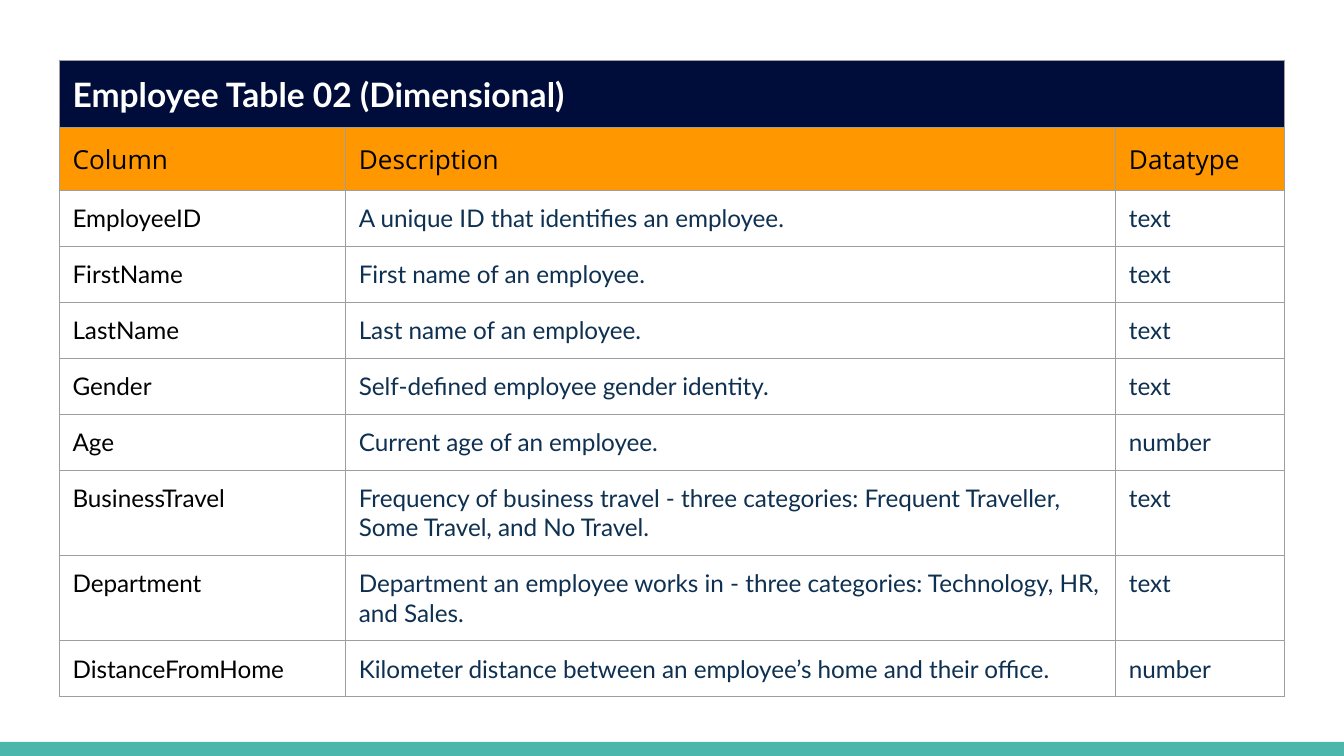
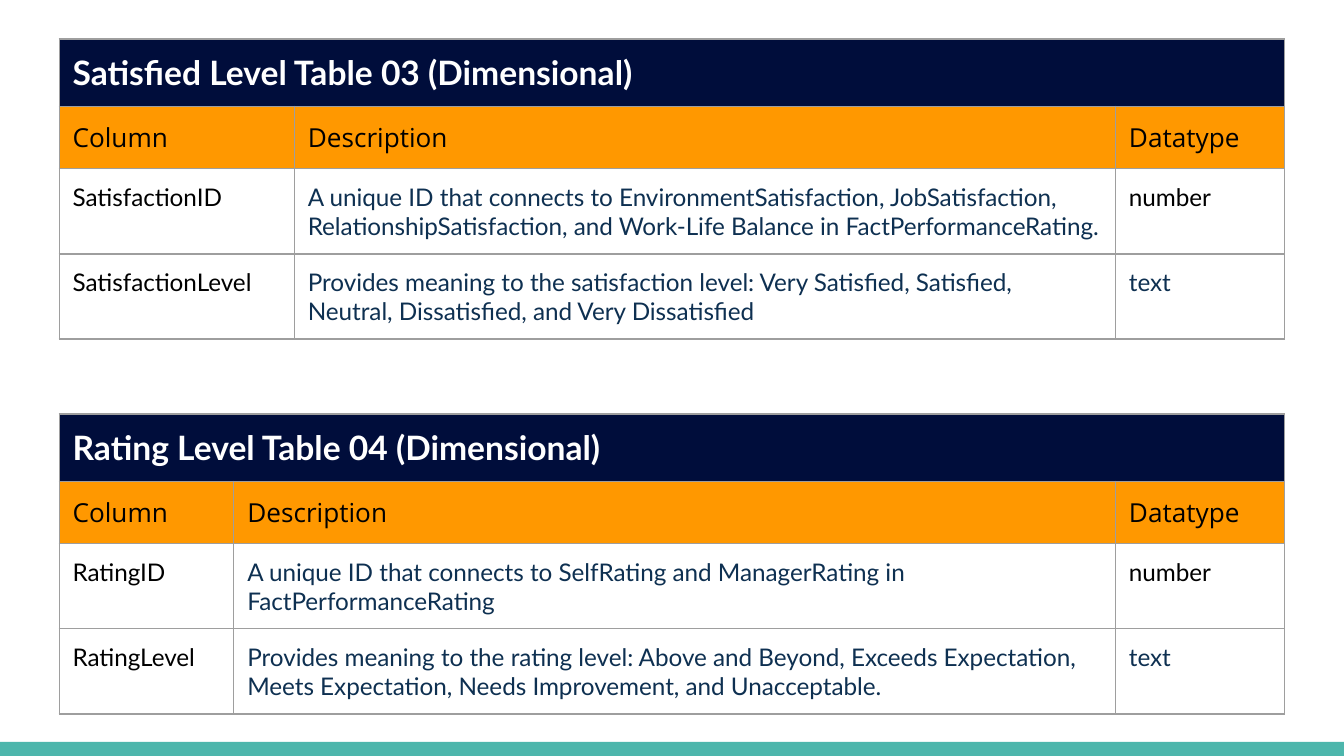
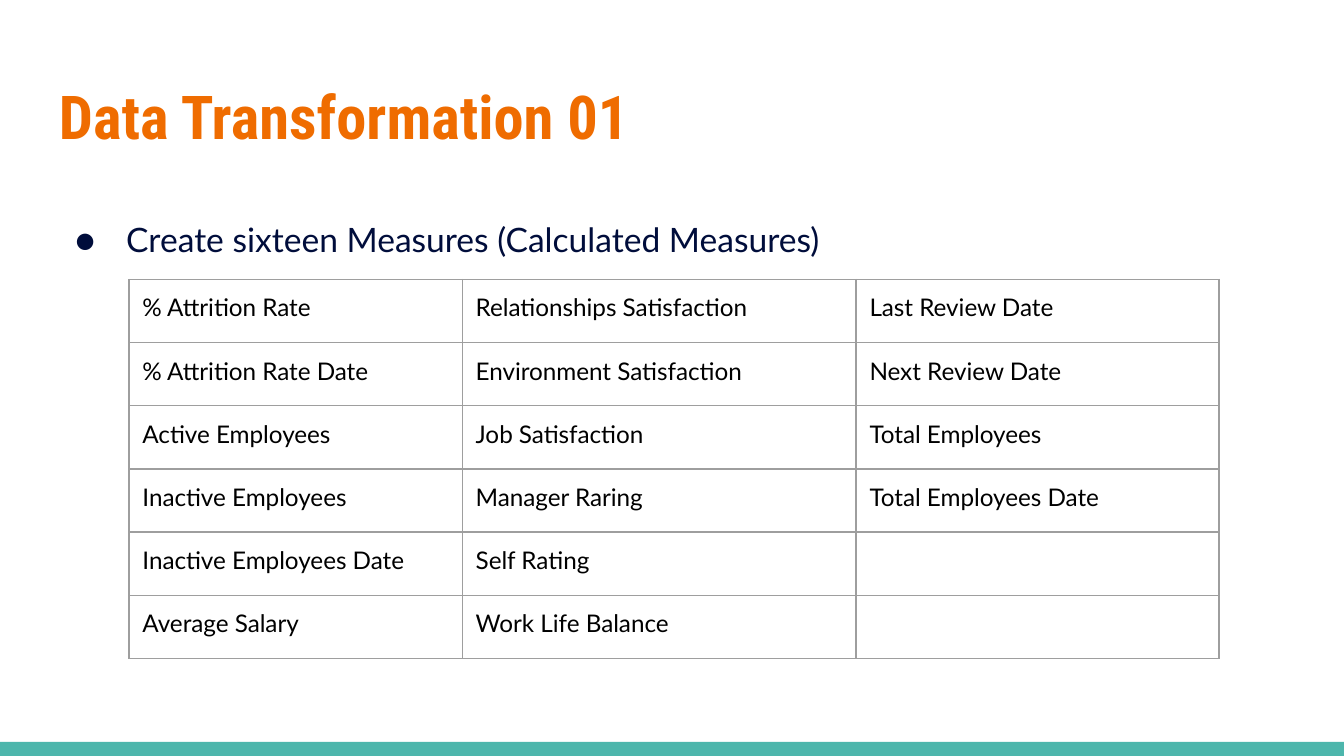
"""Builds three slides of data dictionary tables and calculated measures."""
from lxml import etree
from pptx import Presentation
from pptx.dml.color import RGBColor
from pptx.enum.shapes import MSO_SHAPE
from pptx.enum.text import MSO_ANCHOR
from pptx.oxml import parse_xml
from pptx.oxml.ns import nsdecls, qn
from pptx.util import Inches, Pt

RECTANGLE = MSO_SHAPE.RECTANGLE
TOP = MSO_ANCHOR.TOP

WHITE = RGBColor(0xFF, 0xFF, 0xFF)
BLACK = RGBColor(0x00, 0x00, 0x00)
NAVY = RGBColor(0x00, 0x0D, 0x3B)
INK = RGBColor(0x0E, 0x30, 0x51)
AMBER = RGBColor(0xFF, 0x98, 0x00)
ORANGE = RGBColor(0xEF, 0x6C, 0x00)
TEAL = RGBColor(0x4D, 0xB6, 0xAC)
GRID = RGBColor(0x9E, 0x9E, 0x9E)

TABLE_TITLE = {"name": "Lato", "size": Pt(18), "bold": True, "color": WHITE}
TABLE_HEAD = {"name": "Open Sans", "size": Pt(14), "bold": False, "color": BLACK}
FIELD = {"name": "Lato", "size": Pt(13), "bold": False, "color": BLACK}
DETAIL = {**FIELD, "color": INK}
SLIDE_TITLE = {"name": "Roboto Condensed", "size": Pt(32.4), "bold": True, "color": ORANGE}
BULLET = {"name": "Lato", "size": Pt(18), "bold": False, "color": NAVY}

PADDING = Inches(0.1)
MARGINS = ("margin_left", "margin_right", "margin_top", "margin_bottom")
HEADINGS = ("Column", "Description", "Datatype")


def write(paragraph, text, style):
    """Add a run whose font takes the values of the style."""
    run = paragraph.add_run()
    run.text = text
    for key, value in style.items():
        if key == "color":
            run.font.color.rgb = value
        else:
            setattr(run.font, key, value)


def add_grid(slide, left, top, widths, row_height, rows):
    """Add a bordered table from rows of (text, style, fill) cells."""
    grid = slide.shapes.add_table(
        len(rows), len(widths), Inches(left), Inches(top),
        Inches(sum(widths)), Inches(row_height * len(rows))).table
    grid.first_row = grid.horz_banding = False
    for column, width in zip(grid.columns, widths):
        column.width = Inches(width)
    for r, row in enumerate(rows):
        grid.rows[r].height = Inches(row_height)
        for c, (text, style, fill) in enumerate(row):
            cell = grid.cell(r, c)
            for margin in MARGINS:
                setattr(cell, margin, PADDING)
            properties = cell._tc.get_or_add_tcPr()
            for side in ("lnL", "lnR", "lnT", "lnB"):
                properties.append(parse_xml(
                    f'<a:{side} {nsdecls("a")} w="{Pt(0.75)}"><a:solidFill>'
                    f'<a:srgbClr val="{GRID}"/></a:solidFill></a:{side}>'))
            if fill is None:
                cell.fill.background()
            else:
                cell.fill.solid()
                cell.fill.fore_color.rgb = fill
            paragraph = cell.text_frame.paragraphs[0]
            if text:
                write(paragraph, text, style)
            else:
                etree.SubElement(paragraph._p, qn("a:endParaRPr"), sz="1300")
    return grid


EMPLOYEE = [
    ("EmployeeID", "A unique ID that identifies an employee.", "text"),
    ("FirstName", "First name of an employee.", "text"),
    ("LastName", "Last name of an employee.", "text"),
    ("Gender", "Self-defined employee gender identity.", "text"),
    ("Age", "Current age of an employee.", "number"),
    ("BusinessTravel", "Frequency of business travel - three categories: "
     "Frequent Traveller, Some Travel, and No Travel.", "text"),
    ("Department", "Department an employee works in - three categories: "
     "Technology, HR, and Sales.", "text"),
    ("DistanceFromHome", "Kilometer distance between an employee’s home and their office.",
     "number"),
]
SATISFACTION = [
    ("SatisfactionID", "A unique ID that connects to EnvironmentSatisfaction, JobSatisfaction, "
     "RelationshipSatisfaction, and Work-Life Balance in FactPerformanceRating.", "number"),
    ("SatisfactionLevel", "Provides meaning to the satisfaction level: Very Satisfied, "
     "Satisfied, Neutral, Dissatisfied, and Very Dissatisfied", "text"),
]
RATING = [
    ("RatingID", "A unique ID that connects to SelfRating and ManagerRating in "
     "FactPerformanceRating", "number"),
    ("RatingLevel", "Provides meaning to the rating level: Above and Beyond, Exceeds "
     "Expectation, Meets Expectation, Needs Improvement, and Unacceptable.", "text"),
]
MEASURES = [
    ("% Attrition Rate", "Relationships Satisfaction", "Last Review Date"),
    ("% Attrition Rate Date", "Environment Satisfaction", "Next Review Date"),
    ("Active Employees", "Job Satisfaction", "Total Employees"),
    ("Inactive Employees", "Manager Raring", "Total Employees Date"),
    ("Inactive Employees Date", "Self Rating", ""),
    ("Average Salary", "Work Life Balance", ""),
]

deck = Presentation()
deck.slide_width, deck.slide_height = Inches(10), Inches(10 * 9 / 16)

slides = [deck.slides.add_slide(deck.slide_layouts[6]) for _ in range(3)]
for slide in slides:
    slide.background.fill.solid()
    slide.background.fill.fore_color.rgb = WHITE
    band = slide.shapes.add_shape(RECTANGLE, 0, Inches(5.52), Inches(10), Inches(0.11))
    band.shadow.inherit = False
    band.fill.solid()
    band.fill.fore_color.rgb = TEAL
    band.line.fill.background()

employee_slide, levels_slide, measures_slide = slides

dictionaries = [
    (employee_slide, 0.45, 2.13, "Employee Table 02 (Dimensional)", EMPLOYEE, DETAIL),
    (levels_slide, 0.29, 1.75, "Satisfied Level Table 03 (Dimensional)", SATISFACTION, FIELD),
    (levels_slide, 3.08, 1.3, "Rating Level Table 04 (Dimensional)", RATING, FIELD),
]
for slide, top, field_width, title, fields, number_style in dictionaries:
    rows = [[(text, TABLE_TITLE, NAVY) for text in (title, "", "")],
            [(heading, TABLE_HEAD, AMBER) for heading in HEADINGS]]
    for field, description, datatype in fields:
        datatype_style = number_style if datatype == "number" else DETAIL
        rows.append([(field, FIELD, None), (description, DETAIL, None),
                     (datatype, datatype_style, None)])
    grid = add_grid(slide, 0.44, top, (field_width, 7.86 - field_width, 1.26), 0.41, rows)
    grid.cell(0, 0).merge(grid.cell(0, 2))

texts = [
    (0.49, 0.77, "Data Transformation 01", SLIDE_TITLE),
    (1.38, 3.61, "Create sixteen Measures (Calculated Measures)", BULLET),
]
for top, height, text, style in texts:
    frame = measures_slide.shapes.add_textbox(
        Inches(0.34), Inches(top), Inches(9.32), Inches(height)).text_frame
    frame.word_wrap = True
    frame.vertical_anchor = TOP
    for margin in MARGINS:
        setattr(frame, margin, PADDING)
    write(frame.paragraphs[0], text, style)

measures_line = frame.paragraphs[0]
measures_line.line_spacing = 1.5
indents = measures_line._p.get_or_add_pPr()
indents.set("marL", str(Inches(0.5)))
indents.set("indent", str(Inches(-0.38)))
bullet_color = etree.SubElement(indents, qn("a:buClr"))
etree.SubElement(bullet_color, qn("a:srgbClr"), val=str(NAVY))
etree.SubElement(indents, qn("a:buFont"), typeface="Lato")
etree.SubElement(indents, qn("a:buChar"), char="●")

add_grid(measures_slide, 0.96, 2.08, (2.48, 2.93, 2.7), 0.47,
         [[(measure, FIELD, None) for measure in row] for row in MEASURES])

deck.save("out.pptx")
